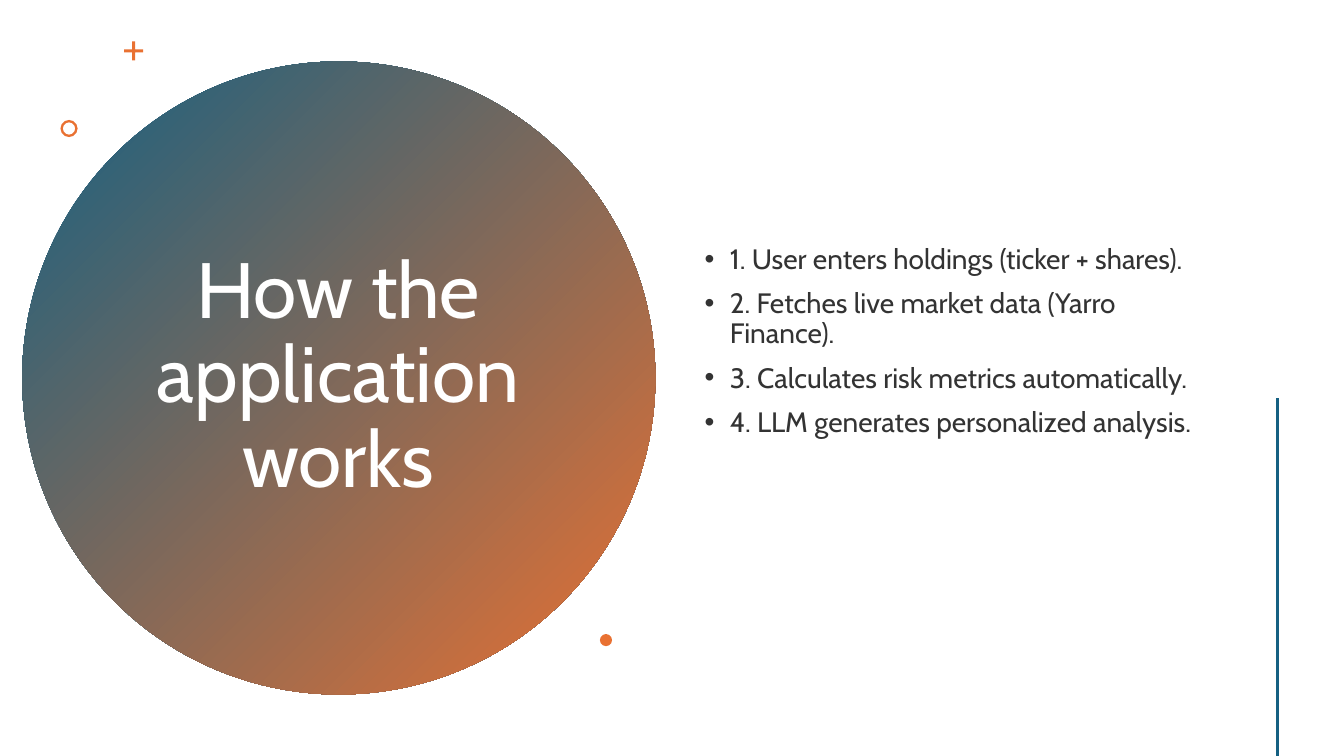
from lxml.etree import SubElement
from pptx import Presentation
from pptx.dml.color import RGBColor
from pptx.enum.shapes import MSO_CONNECTOR, MSO_SHAPE
from pptx.enum.text import MSO_ANCHOR, PP_ALIGN
from pptx.oxml.ns import qn
from pptx.util import Inches, Pt

TITLE = "How the application works"
STEPS = [
    "1. User enters holdings (ticker + shares).",
    "2. Fetches live market data (Yarro Finance).",
    "3. Calculates risk metrics automatically.",
    "4. LLM generates personalized analysis.",
]
FONT = "Cabin"
COLORS = {"blue": "156082", "orange": "E97132", "white": "FFFFFF", "text": "333333"}
CIRCLE = (0.22, 0.61, 6.28, 6.28)
TITLE_BOX = (1.36, 1.41, 3.99, 4.67)
STEPS_BOX = (6.89, 0.57, 5.22, 5.64)
ACCENTS = [
    (MSO_SHAPE.CROSS, 1.23, 0.41, 0.19, 0.42),
    (MSO_SHAPE.DONUT, 0.6, 1.19, 0.17, 0.14),
    (MSO_SHAPE.OVAL, 5.95, 6.29, 0.12, None),
]
EDGE_LINE = (12.67, 3.95, 12.67, 7.5)


def color(name):
    return RGBColor.from_string(COLORS[name])


def add_plain_shape(slide, kind, box):
    shape = slide.shapes.add_shape(kind, *map(Inches, box))
    shape.shadow.inherit = False
    shape.line.fill.background()
    return shape


def add_text(slide, box, lines, size, color_name, align, space=0, bullet=False):
    frame = slide.shapes.add_textbox(*map(Inches, box)).text_frame
    frame.word_wrap = True
    frame.vertical_anchor = MSO_ANCHOR.MIDDLE
    frame.text = "\n".join(lines)
    for index, paragraph in enumerate(frame.paragraphs):
        paragraph.alignment = align
        paragraph.line_spacing = 0.9
        paragraph.space_before = Pt(space if index else 0)
        if bullet:
            properties = paragraph._p.get_or_add_pPr()
            properties.set("marL", str(Inches(0.25)))
            properties.set("indent", str(Inches(-0.25)))
            SubElement(properties, qn("a:buFont"), typeface="Arial")
            SubElement(properties, qn("a:buChar"), char="•")
        paragraph.font.name = FONT
        paragraph.font.size = Pt(size)
        paragraph.font.color.rgb = color(color_name)


def main():
    presentation = Presentation()
    presentation.slide_width = Inches(13.33)
    presentation.slide_height = Inches(7.5)
    slide = presentation.slides.add_slide(presentation.slide_layouts[6])

    circle = add_plain_shape(slide, MSO_SHAPE.OVAL, CIRCLE)
    circle.fill.gradient()
    circle.fill.gradient_angle = 315
    for stop, name in zip(circle.fill.gradient_stops, ("blue", "orange")):
        stop.color.rgb = color(name)

    add_text(slide, TITLE_BOX, [TITLE], 56, "white", PP_ALIGN.CENTER)
    add_text(slide, STEPS_BOX, STEPS, 20, "text", PP_ALIGN.LEFT, space=10, bullet=True)

    for kind, left, top, size, adjustment in ACCENTS:
        accent = add_plain_shape(slide, kind, (left, top, size, size))
        accent.fill.solid()
        accent.fill.fore_color.rgb = color("orange")
        if adjustment:
            accent.adjustments[0] = adjustment

    edge = slide.shapes.add_connector(MSO_CONNECTOR.STRAIGHT, *map(Inches, EDGE_LINE))
    edge.line.color.rgb = color("blue")
    edge.line.width = Pt(2)
    SubElement(edge._element.spPr, qn("a:effectLst"))

    presentation.save("out.pptx")


if __name__ == "__main__":
    main()
